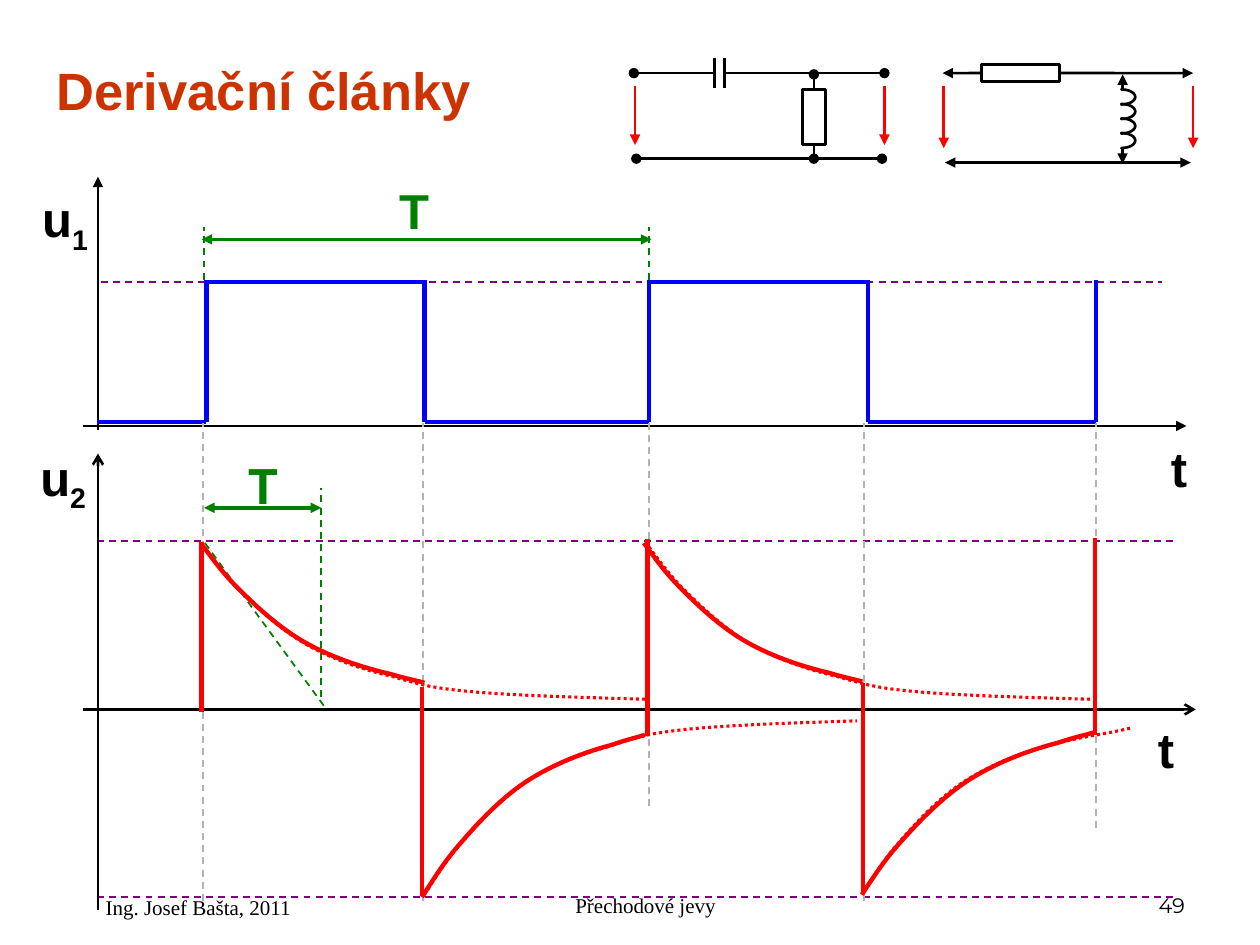
from dataclasses import dataclass

from lxml.etree import SubElement
from pptx import Presentation
from pptx.dml.color import RGBColor
from pptx.enum.dml import MSO_LINE
from pptx.enum.shapes import MSO_CONNECTOR, MSO_SHAPE
from pptx.enum.text import MSO_ANCHOR, PP_ALIGN
from pptx.oxml.ns import qn
from pptx.util import Pt


@dataclass(frozen=True)
class Theme:
    ink: str = "000000"
    title: str = "CC3300"
    period: str = "008000"
    level: str = "800080"
    guide: str = "B2B2B2"
    input: str = "0000FF"
    output: str = "FF0000"
    coil: str = "FFCC00"
    title_size: float = 30
    label_size: float = 28
    footer_size: float = 12
    sans: str = "Arial"
    serif: str = "Times New Roman"
    thin: float = 1
    wire: float = 1.5
    trace: float = 2.5


@dataclass(frozen=True)
class Box:
    left: float
    top: float
    width: float
    height: float

    def at(self, x, y):
        return Pt(self.left + x), Pt(self.top + y)


THEME = Theme()
DASH, DOT = MSO_LINE.DASH, MSO_LINE.ROUND_DOT

# Exponential decay as Bezier points, with three ways to finish it
DECAY = [(0, 0), (6.5, 8.6), (12.6, 17.3), (22.3, 26.6), (32.4, 36.7), (46, 49),
         (60.5, 56.9), (74.9, 64.8), (92.2, 70.6), (108, 74.2)]
HALF_PERIOD = DECAY + [(117.4, 77), (122.4, 77.8), (127.4, 79.2)]
EXTENDED = DECAY + [(123, 78.5), (144.7, 80.6), (157.7, 83.5)]
FULL_PERIOD = DECAY + [(123.1, 78.5), (128.9, 80.6), (153.4, 82.8),
                       (177.8, 85), (215, 86), (253.4, 87.1)]


def style_line(line, color, weight, dash=None):
    line.color.rgb = RGBColor.from_string(color)
    line.width = Pt(weight)
    if dash:
        line.dash_style = dash


def add_line(slide, box, start, end, color=THEME.ink, weight=THEME.wire,
             dash=None, head=None, tail=None, joined=None):
    """Draw a line; joined is (shape, side) at its start."""
    link = slide.shapes.add_connector(MSO_CONNECTOR.STRAIGHT, *box.at(*start), *box.at(*end))
    if joined:
        link.begin_connect(*joined)
    style_line(link.line, color, weight, dash)
    properties = link._element.spPr
    ln = properties.find(qn("a:ln"))
    for tag, kind in (("a:headEnd", head), ("a:tailEnd", tail)):
        if kind:
            SubElement(ln, qn(tag), type=kind)
    SubElement(properties, qn("a:effectLst"))


def add_curve(slide, box, points, start, scale, weight, dash=None):
    placed = [box.at(start[0] + x * scale[0], start[1] + y * scale[1]) for x, y in points]
    builder = slide.shapes.build_freeform(*placed[0])
    builder.add_line_segments(placed[1:], close=False)
    curve = builder.convert_to_shape()
    curve.shadow.inherit = False
    curve.fill.background()
    style_line(curve.line, THEME.output, weight, dash)
    # Turn each three straight steps into one Bezier segment
    outline = next(curve._element.iter(qn("a:path")))
    steps = outline.findall(qn("a:lnTo"))
    for i in range(0, len(steps), 3):
        bezier = SubElement(outline, qn("a:cubicBezTo"))
        for step in steps[i:i + 3]:
            bezier.append(step[0])
            outline.remove(step)


def add_outline(slide, box, kind, x, y, width, height):
    part = slide.shapes.add_shape(kind, *box.at(x, y), Pt(width), Pt(height))
    part.shadow.inherit = False
    part.fill.background()
    style_line(part.line, THEME.ink, THEME.wire)
    return part


def add_text(slide, box, x, y, width, height, text, size=THEME.label_size, color=THEME.ink,
             font=THEME.sans, bold=True, subscript="", anchor=MSO_ANCHOR.TOP,
             align=PP_ALIGN.LEFT, margin=0):
    frame = slide.shapes.add_textbox(*box.at(x, y), Pt(width), Pt(height)).text_frame
    frame.word_wrap = True
    frame.vertical_anchor = anchor
    paragraph = frame.paragraphs[0]
    paragraph.alignment = align
    if margin:
        paragraph._p.get_or_add_pPr().set("marL", str(Pt(margin)))
    for content in filter(None, (text, subscript)):
        run = paragraph.add_run()
        run.text = content
        run.font.size, run.font.name, run.font.bold = Pt(size), font, bold
        run.font.color.rgb = RGBColor.from_string(color)
    if subscript:
        run._r.get_or_add_rPr().set("baseline", "-25000")


def draw_title(slide, box):
    add_text(slide, box, 0, 0, box.width, box.height, "Derivační články",
             THEME.title_size, THEME.title, anchor=MSO_ANCHOR.MIDDLE)


def draw_voltages(slide, box, xs, top, bottom):
    for x in xs:
        add_line(slide, box, (x, top), (x, bottom), THEME.output, tail="triangle")


def draw_rc_circuit(slide, box):
    # Series capacitor
    for x, terminal in ((47.2, 1.2), (53, 144.4)):
        add_line(slide, box, (x, 0), (x, 17.4))
        add_line(slide, box, (x, 8.8), (terminal, 8.8), tail="oval")
    add_line(slide, box, (143, 57.7), (2.6, 57.7), head="oval", tail="oval")
    # Shunt resistor
    resistor = add_outline(slide, box, MSO_SHAPE.RECTANGLE, 97.6, 18.1, 13, 31.7)
    for side, start, end in ((0, 18.1, 9.5), (2, 49.8, 57.7)):
        add_line(slide, box, (104.1, start), (104.1, end), tail="oval", joined=(resistor, side))
    draw_voltages(slide, box, (1.9, 144.4), 16, 49.8)


def draw_rl_circuit(slide, box):
    # Series resistor
    resistor = add_outline(slide, box, MSO_SHAPE.RECTANGLE, 22.9, 0.7, 44.6, 10.1)
    for side, start, end in ((1, 22.9, 0.6), (3, 67.5, 143.8)):
        add_line(slide, box, (start, 5.8), (end, 5.8), tail="triangle", joined=(resistor, side))
    add_line(slide, box, (142.4, 56.9), (2, 56.9), head="triangle", tail="triangle")
    # Shunt coil
    for start, end in ((15.1, 6.5), (48.2, 57.6)):
        add_line(slide, box, (103.5, start), (103.5, end), tail="triangle")
    for turn in range(4):
        arc = add_outline(slide, box, MSO_SHAPE.BLOCK_ARC, 98.5, 11.5 + 8.3 * turn, 8.6, 15.8)
        arc.rotation = 90
        arc.fill.solid()
        arc.fill.fore_color.rgb = RGBColor.from_string(THEME.coil)
        for i, value in enumerate((107.89, 0.11, 0)):
            arc.adjustments[i] = value
    draw_voltages(slide, box, (1.3, 143.8), 13, 48.6)


def draw_period(slide, box, start, end, y, label_x, label_y, font=THEME.sans):
    add_line(slide, box, (start, y), (end, y), THEME.period, 2, head="triangle", tail="triangle")
    add_text(slide, box, label_x, label_y, 32.4, 41, "T", color=THEME.period, font=font)


def draw_input_chart(slide, box):
    # Axes
    add_line(slide, box, (31.5, 143.4), (662, 143.4), tail="triangle")
    add_line(slide, box, (40, 146), (40, 1), tail="triangle")
    add_text(slide, box, 646, 147, 35.3, 41, "t")
    add_text(slide, box, 1, 4.4, 47.5, 45, "u", subscript="1")
    # Square wave
    high, low = 61, 141.2
    add_line(slide, box, (41.6, high), (648, high), THEME.level, THEME.thin, DASH)
    edges = [102, 226.6, 355, 480, 610.4]
    for i, (start, end) in enumerate(zip([39.5] + edges, edges)):
        y = high if i % 2 else low
        add_line(slide, box, (start, y), (end, y), THEME.input, THEME.trace)
        add_line(slide, box, (end, low), (end, high - 1), THEME.input, THEME.trace)
    # Period
    for x in (100.6, 354.8):
        add_line(slide, box, (x, 59.8), (x, 29.6), THEME.period, THEME.thin, DASH)
    draw_period(slide, box, 99.2, 356.2, 36.8, 205, -0.6)


def draw_output_chart(slide, box):
    # Full exponentials
    for points, start, scale in ((FULL_PERIOD, (226.6, 259.2), (0.975, -1.14)),
                                 (FULL_PERIOD, (100.6, 60.5), (1, 1)),
                                 (FULL_PERIOD, (354.8, 60.5), (1, 1)),
                                 (EXTENDED, (476.5, 259.2), (0.975, -1.14))):
        add_curve(slide, box, points, start, scale, 1.75, DOT)
    # Time constant
    add_line(slide, box, (169, 151.2), (100.6, 57.6), THEME.period, THEME.thin, DASH)
    add_line(slide, box, (167.6, 146.2), (167.6, 26.6), THEME.period, THEME.thin, DASH)
    draw_period(slide, box, 100.6, 167.6, 38.2, 118.6, 5, "Roboto")
    # Levels, guides and axes
    for y in (57, 260.6):
        add_line(slide, box, (39.4, y), (654.3, y), THEME.level, THEME.thin, DASH)
    for x, bottom in ((99.9, 262.8), (225.9, 262.8), (354.8, 208.8), (477.9, 262.8), (610.4, 221)):
        add_line(slide, box, (x, bottom), (x, -10), THEME.guide, THEME.thin, DASH)
    add_line(slide, box, (31.5, 153.4), (667.3, 153.4), tail="arrow")
    add_line(slide, box, (40, 267.8), (40, 7.2), tail="arrow")
    add_text(slide, box, 638.5, 155.5, 35.3, 41, "t")
    add_text(slide, box, 0, 0, 47.5, 45, "u", subscript="2")
    # Output trace
    for start, scale in (((225.2, 260.6), (1, -1.17)), ((99.2, 59), (1, 1)),
                         ((351.9, 58.3), (0.98, 1)), ((476.5, 259.2), (1.04, -1.17))):
        add_curve(slide, box, HALF_PERIOD, start, scale, THEME.trace)
    for x, bottom, top in ((99.2, 154.8, 57.6), (225.2, 259.9, 140.4), (354, 168.5, 56.2),
                           (477.2, 257.8, 138.2), (609.7, 167.8, 55.4)):
        add_line(slide, box, (x, bottom), (x, top), THEME.output, THEME.trace)


def draw_footer(slide, box):
    for x, width, height, text, font, align, margin in (
            (210.2, 228.2, 36, "Přechodové jevy", THEME.serif, PP_ALIGN.CENTER, 17.3),
            (480.2, 168, 36, "49", "Montserrat", PP_ALIGN.RIGHT, 0),
            (0, 168, 37.4, "Ing. Josef Bašta, 2011", THEME.serif, PP_ALIGN.LEFT, 17.3)):
        add_text(slide, box, x, 0, width, height, text, THEME.footer_size, font=font,
                 bold=False, anchor=MSO_ANCHOR.BOTTOM, align=align, margin=margin)


def main():
    deck = Presentation()
    deck.slide_width, deck.slide_height = Pt(720), Pt(540)
    slide = deck.slides.add_slide(deck.slide_layouts[6])
    draw_input_chart(slide, Box(16, 100, 662, 188))
    draw_title(slide, Box(25.2, 32.4, 298.8, 37.4))
    draw_rl_circuit(slide, Box(538, 36, 144, 58))
    draw_rc_circuit(slide, Box(361, 33, 146, 58))
    draw_output_chart(slide, Box(16, 252, 668, 268))
    draw_footer(slide, Box(36, 491.8, 648, 37.4))
    deck.save("out.pptx")


if __name__ == "__main__":
    main()
